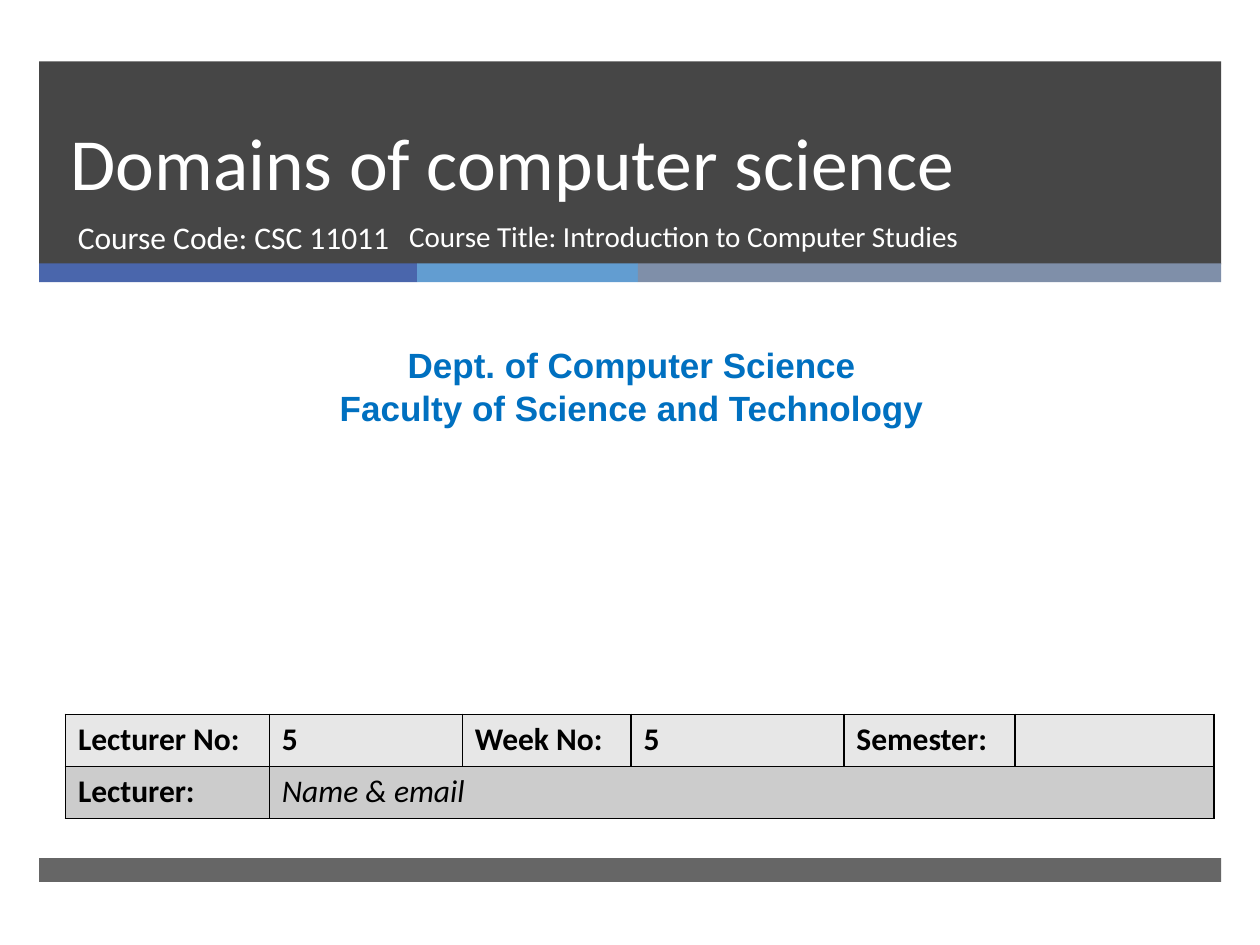
from lxml.etree import SubElement
from pptx import Presentation
from pptx.dml.color import RGBColor
from pptx.enum.shapes import MSO_SHAPE
from pptx.enum.text import MSO_ANCHOR, PP_ALIGN
from pptx.oxml.ns import qn
from pptx.util import Cm, Pt

CHARCOAL = RGBColor(0x26, 0x26, 0x26)
INDIGO = RGBColor(0x4A, 0x66, 0xAC)
SKY = RGBColor(0x62, 0x9D, 0xD1)
SLATE = RGBColor(0x7F, 0x8F, 0xA9)
BLUE = RGBColor(0x00, 0x70, 0xC0)
WHITE = RGBColor(0xFF, 0xFF, 0xFF)
BLACK = RGBColor(0x00, 0x00, 0x00)
LIGHT_GREY = RGBColor(0xE7, 0xE7, 0xE7)
MID_GREY = RGBColor(0xCC, 0xCC, 0xCC)

BAND_LEFT = 0.79
BAND_WIDTH = 23.83
STRIPES = [(7.62, INDIGO), (4.45, SKY), (11.76, SLATE)]
COLUMN_WIDTHS = [4.11, 3.89, 3.4, 4.29, 3.45, 4.01]
ROW_HEIGHT = 1.05
DETAILS = [
    ["Lecturer No:", "5", "Week No:", "5", "Semester:", ""],
    ["Lecturer:", "Name & email", "", "", "", ""],
]


def add_bar(slide, left, top, width, height, color, opacity=100):
    shape = slide.shapes.add_shape(
        MSO_SHAPE.RECTANGLE, Cm(left), Cm(top), Cm(width), Cm(height))
    shape.shadow.inherit = False
    shape.line.fill.background()
    shape.fill.solid()
    shape.fill.fore_color.rgb = color
    if opacity < 100:
        color_element = shape.fill._xPr.find(qn("a:solidFill"))[0]
        SubElement(color_element, qn("a:alpha"), val=str(opacity * 1000))


def style_runs(text_frame, size, color, name="Calibri", bold=False, italic=False):
    for paragraph in text_frame.paragraphs:
        for run in paragraph.runs:
            run.font.size = Pt(size)
            run.font.name = name
            run.font.color.rgb = color
            run.font.bold = bold
            run.font.italic = italic


def add_text(slide, text, left, top, width, height, size, color, **style):
    shape = slide.shapes.add_textbox(Cm(left), Cm(top), Cm(width), Cm(height))
    text_frame = shape.text_frame
    text_frame.word_wrap = True
    text_frame.text = text
    style_runs(text_frame, size, color, **style)
    return text_frame


def add_borders(cell):
    properties = cell._tc.get_or_add_tcPr()
    for side in ("lnL", "lnR", "lnT", "lnB"):
        line = SubElement(properties, qn(f"a:{side}"), w=str(Pt(1)))
        fill = SubElement(line, qn("a:solidFill"))
        SubElement(fill, qn("a:srgbClr"), val=str(BLACK))


def add_details_table(slide, left, top):
    table = slide.shapes.add_table(
        len(DETAILS), len(COLUMN_WIDTHS), Cm(left), Cm(top),
        Cm(sum(COLUMN_WIDTHS)), Cm(ROW_HEIGHT * len(DETAILS))).table
    for column, width in zip(table.columns, COLUMN_WIDTHS):
        column.width = Cm(width)
    for row_index, (texts, color) in enumerate(zip(DETAILS, (LIGHT_GREY, MID_GREY))):
        table.rows[row_index].height = Cm(ROW_HEIGHT)
        for column_index, text in enumerate(texts):
            cell = table.cell(row_index, column_index)
            add_borders(cell)
            cell.fill.solid()
            cell.fill.fore_color.rgb = color
            cell.text_frame.text = text
            is_name = (row_index, column_index) == (1, 1)
            style_runs(cell.text_frame, 18, BLACK, bold=not is_name, italic=is_name)
    table.cell(1, 1).merge(table.cell(1, len(COLUMN_WIDTHS) - 1))


def main():
    presentation = Presentation()
    presentation.slide_width = Cm(25.4)
    presentation.slide_height = Cm(19.05)
    slide = presentation.slides.add_slide(presentation.slide_layouts[6])

    add_bar(slide, BAND_LEFT, 1.24, BAND_WIDTH, 4.09, CHARCOAL, opacity=85)
    stripe_left = BAND_LEFT
    for width, color in STRIPES:
        add_bar(slide, stripe_left, 5.31, width, 0.38, color)
        stripe_left += width
    add_bar(slide, BAND_LEFT, 17.3, BAND_WIDTH, 0.48, CHARCOAL, opacity=70)

    title = add_text(slide, "Domains of computer science",
                     1.17, 1.24, 21.69, 3.02, 42, WHITE)
    title.vertical_anchor = MSO_ANCHOR.BOTTOM
    title.paragraphs[0].line_spacing = Pt(46)
    add_text(slide, "Course Code: CSC 11011", 1.32, 4.27, 7.75, 1.35, 18, WHITE)
    add_text(slide, "Course Title: Introduction to Computer Studies",
             8, 4.27, 12.45, 1.35, 16.6, WHITE)
    department = add_text(
        slide, "Dept. of Computer Science\nFaculty of Science and Technology",
        0.2, 6.81, 25.07, 1.96, 20, BLUE, name="Arial", bold=True)
    for paragraph in department.paragraphs:
        paragraph.alignment = PP_ALIGN.CENTER
    add_details_table(slide, 1.32, 14.4)

    presentation.save("out.pptx")


if __name__ == "__main__":
    main()
